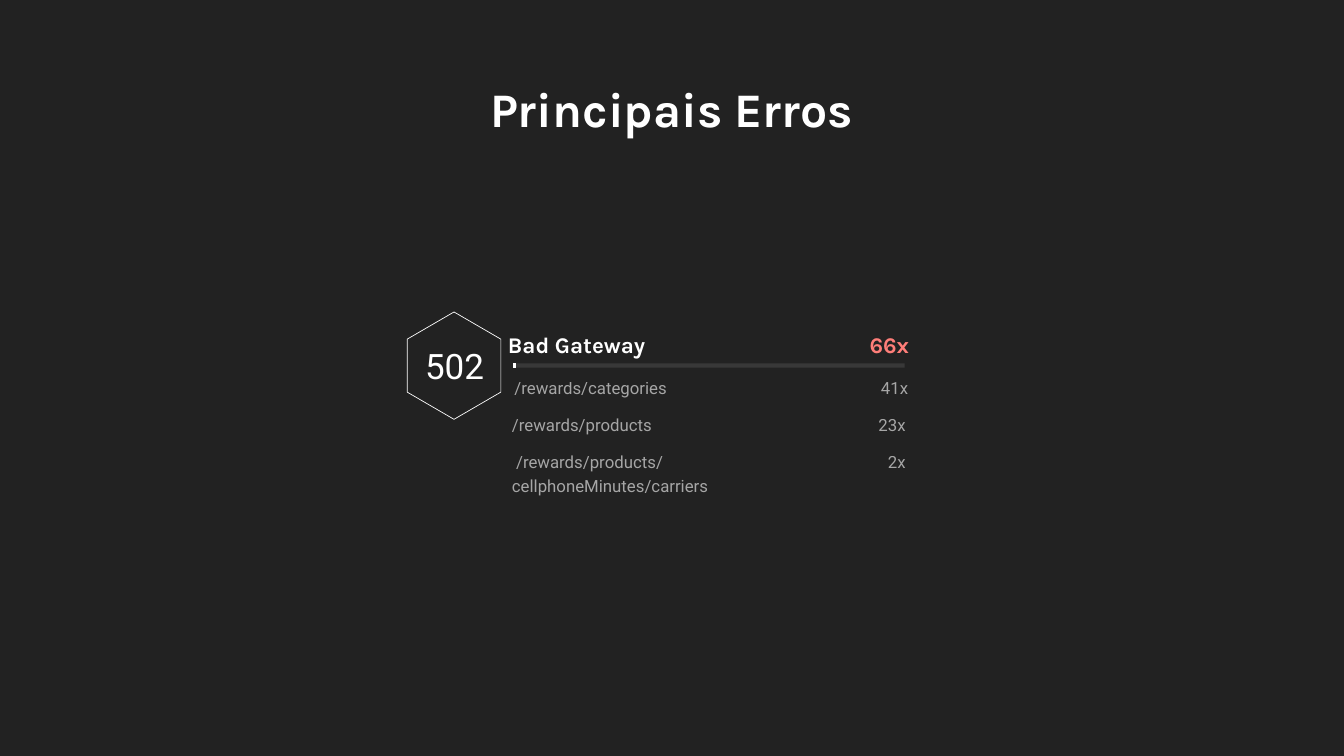
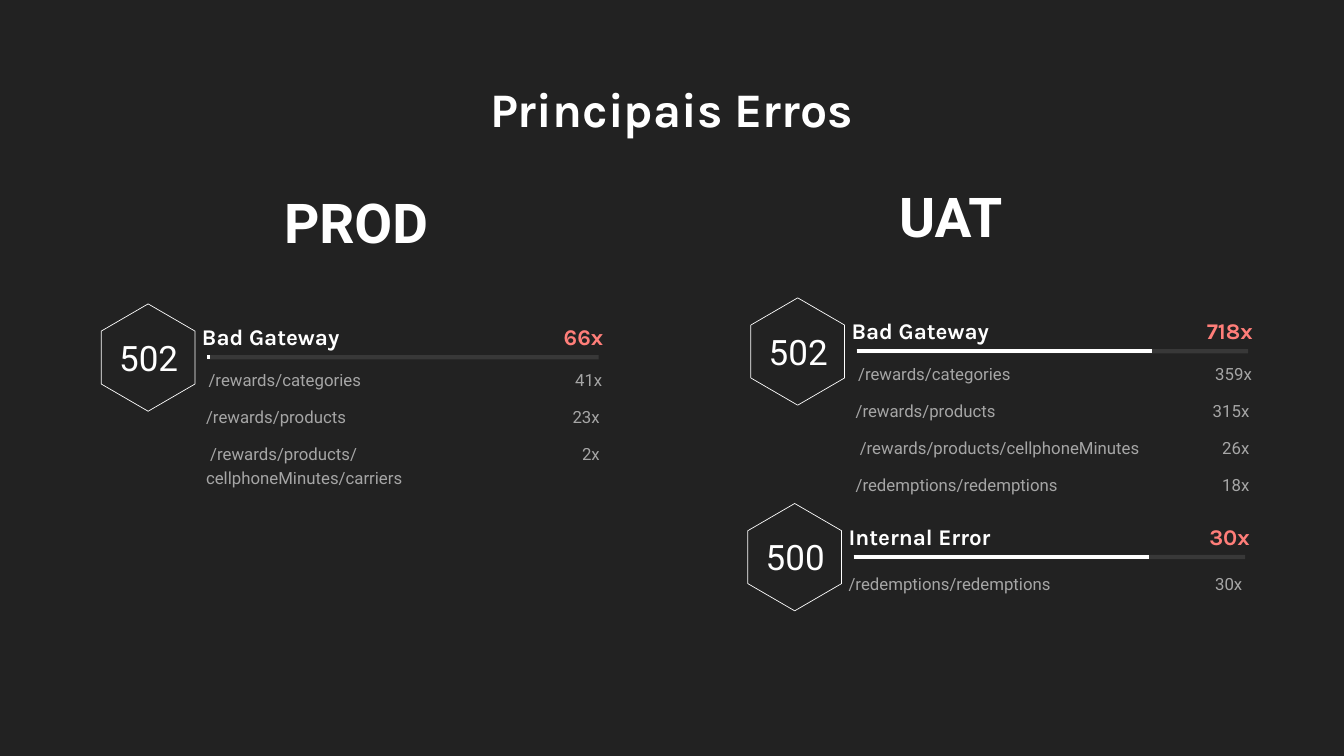
import pptx
import pptx.util
import pptx.dml.color
import pptx.enum.shapes
import pptx.enum.text
import pptx.oxml.ns
import lxml.etree

Inches = pptx.util.Inches
ALIGN = pptx.enum.text.PP_ALIGN
ANCHOR = pptx.enum.text.MSO_ANCHOR
FIT = pptx.enum.text.MSO_AUTO_SIZE

DARK, WHITE, CORAL = "222222", "FFFFFF", "FF7E79"
HEADING_FONT, BODY_FONT = "Karla", "Roboto"
HEXAGON = [(0.93, 0), (1.86, 0.54), (1.86, 1.59), (0.93, 2.13), (0, 1.59), (0, 0.54)]
BAR_WIDTH, ROW_STEP = 7.77, 0.73
NBSP = chr(160)

PROD_ROWS = [
    ("/rewards/categories", "41x"),
    ("/rewards/products", "23x"),
    (NBSP + "/rewards/products/cellphoneMinutes/carriers", "2x"),
]
UAT_ROWS = [
    ("/rewards/categories", "359x"),
    ("/rewards/products", "315x"),
    (NBSP + "/rewards/products/cellphoneMinutes", "26x"),
    ("/redemptions/redemptions", "18x"),
]


def set_color(fill, color, alpha=None):
    """Fill solidly with a hex colour and an optional opacity in percent."""
    fill.solid()
    fill.fore_color.rgb = pptx.dml.color.RGBColor.from_string(color)
    if alpha is not None:
        for clr in fill._xPr.iter(pptx.oxml.ns.qn("a:srgbClr")):
            node = lxml.etree.SubElement(clr, pptx.oxml.ns.qn("a:alpha"))
            node.set("val", str(alpha * 1000))


def add_text(s, box, text, size, font=BODY_FONT, color=WHITE, alpha=None, bold=False,
             align=ALIGN.LEFT, spacing=1.0, inset=0.1, anchor=ANCHOR.TOP,
             fit=FIT.SHAPE_TO_FIT_TEXT):
    """Add a one-paragraph text box."""
    tf = s.shapes.add_textbox(*map(Inches, box)).text_frame
    tf.word_wrap = True
    tf.auto_size = fit
    tf.vertical_anchor = anchor
    tf.margin_left = tf.margin_right = tf.margin_top = tf.margin_bottom = Inches(inset)
    p = tf.paragraphs[0]
    p.text = text
    p.alignment = align
    p.line_spacing = spacing
    r = p.runs[0]
    r.font.name = font
    r.font.size = pptx.util.Pt(size)
    r.font.bold = bold
    set_color(r.font.fill, color, alpha)


def add_bar(s, x, y, width, alpha=None):
    """Draw a horizontal stroke of the progress bar."""
    line = s.shapes.add_connector(pptx.enum.shapes.MSO_CONNECTOR.STRAIGHT,
                                  Inches(x), Inches(y), Inches(x + width), Inches(y))
    line.line.width = pptx.util.Pt(6)
    set_color(line.line.fill, WHITE, alpha)
    lxml.etree.SubElement(line._element.spPr, pptx.oxml.ns.qn("a:effectLst"))


def add_badge(s, x, y, code):
    """Draw the hexagon that holds the status code."""
    points = [(Inches(x + dx), Inches(y + dy)) for dx, dy in HEXAGON]
    builder = s.shapes.build_freeform(*points[0])
    builder.add_line_segments(points[1:], close=True)
    sp = builder.convert_to_shape()
    sp.shadow.inherit = False
    set_color(sp.fill, DARK)
    set_color(sp.line.fill, WHITE)
    sp.line.width = pptx.util.Pt(1)
    add_text(s, (x + 0.3, y + 0.59, 1.28, 0.94), code, 50, align=ALIGN.CENTER,
             inset=0, anchor=ANCHOR.MIDDLE, fit=FIT.NONE)


def add_row(s, x, y, endpoint, count):
    """Add an endpoint and its right-aligned error count."""
    style = dict(size=24, alpha=60, spacing=1.2)
    add_text(s, (x, y, 6.05, 0.6), endpoint, **style)
    add_text(s, (x + 6.96, y, 1.05, 0.6), count, align=ALIGN.RIGHT, **style)


def add_error(s, x, y, code, name, total, filled, rows, first_row=(2.03, 1.13)):
    """Add an error block: badge, name, total, bar and endpoint rows."""
    add_bar(s, x + 2.1, y + 1.06, BAR_WIDTH, alpha=10)
    add_bar(s, x + 2.1, y + 1.06, filled)
    add_badge(s, x, y, code)
    style = dict(size=32, font=HEADING_FONT, bold=True, spacing=0.9)
    add_text(s, (x + 1.9, y + 0.34, 6.32, 0.73), name, **style)
    add_text(s, (x + 7.39, y + 0.34, 2.67, 0.73), total, color=CORAL,
             align=ALIGN.RIGHT, **style)
    left, top = first_row
    for i, (endpoint, count) in enumerate(rows):
        indent = left if i == 0 else left - 0.05
        add_row(s, x + indent, y + top + i * ROW_STEP, endpoint, count)


def add_environment(s, x, y, name):
    """Add the heading of an environment column."""
    add_text(s, (x, y, 7.87, 1.19), name, 78.4, bold=True, align=ALIGN.CENTER,
             spacing=0.8, inset=0.06, anchor=ANCHOR.MIDDLE, fit=FIT.NONE)


def add_slide(prs):
    """Add a dark slide with the shared title."""
    s = prs.slides.add_slide(prs.slide_layouts[6])
    set_color(s.background.fill, DARK)
    add_text(s, (1.83, 1.61, 23, 1.36), "Principais Erros", 68.8, font=HEADING_FONT,
             bold=True, align=ALIGN.CENTER, spacing=0.9, fit=FIT.NONE)
    return s


def add_prod_error(s, x, y):
    """Add the production gateway error."""
    add_error(s, x, y, "502", "Bad Gateway", "66x", 0.05, PROD_ROWS)


def build_summary(prs):
    """Build the slide with the production error alone."""
    s = add_slide(prs)
    add_prod_error(s, 8.08, 6.19)


def build_comparison(prs):
    """Build the slide that compares both environments."""
    s = add_slide(prs)
    add_prod_error(s, 2.01, 6.03)
    add_error(s, 14.9, 5.91, "502", "Bad Gateway", "718x", 5.86, UAT_ROWS)
    add_error(s, 14.84, 9.99, "500", "Internal Error", "30x", 5.86,
              [("/redemptions/redemptions", "30x")], first_row=(1.9, 1.21))
    add_environment(s, 3.13, 3.93, "PROD")
    add_environment(s, 14.93, 3.81, "UAT")


def main():
    """Build and save the presentation."""
    prs = pptx.Presentation()
    prs.slide_width = Inches(26.67)
    prs.slide_height = Inches(15)
    build_summary(prs)
    build_comparison(prs)
    prs.save("out.pptx")


if __name__ == "__main__":
    main()
